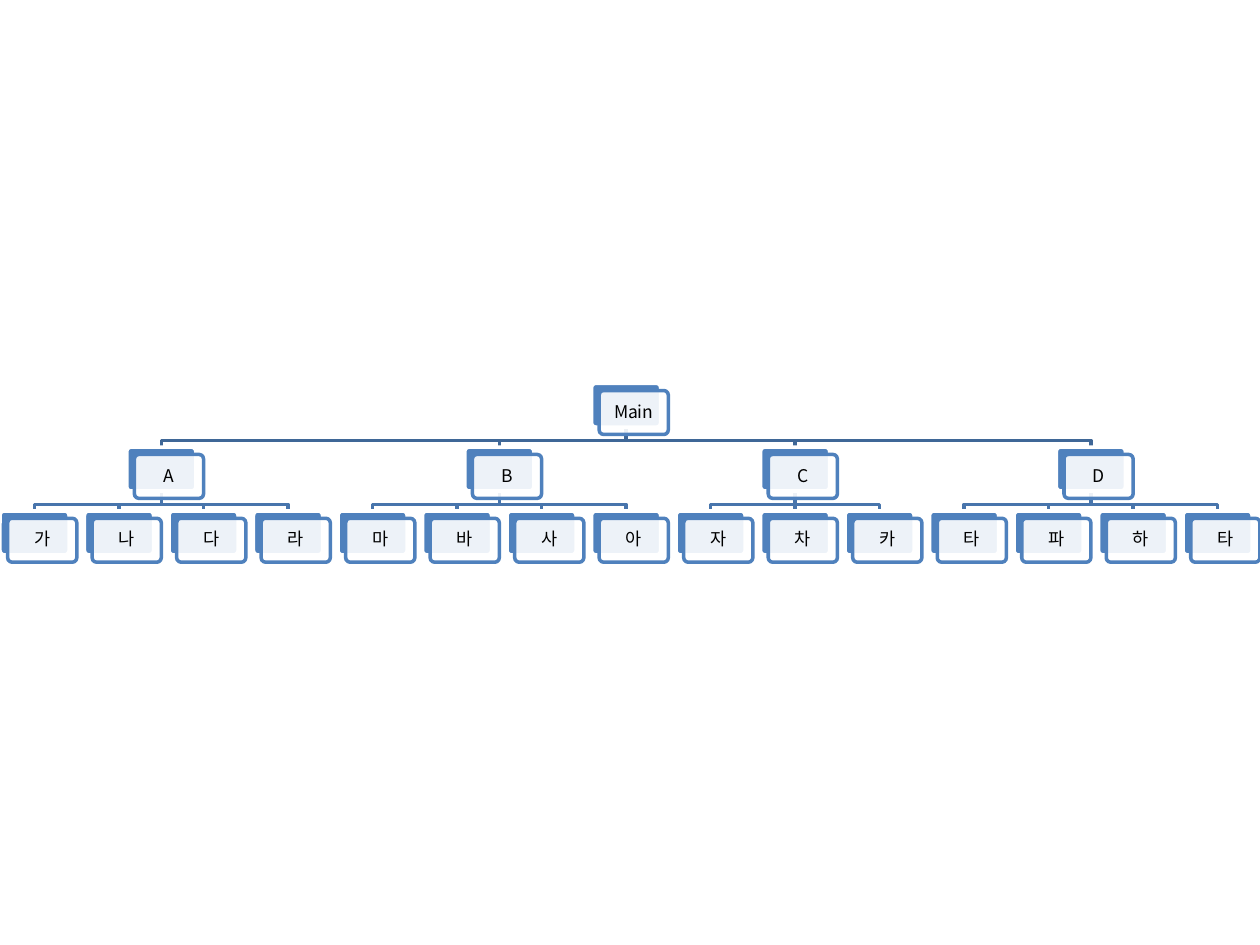
"""Build a three-level organisation chart with offset double cards."""
from dataclasses import dataclass

from lxml.etree import SubElement
from pptx import Presentation
from pptx.dml.color import RGBColor
from pptx.enum.shapes import MSO_CONNECTOR, MSO_SHAPE
from pptx.enum.text import MSO_ANCHOR, PP_ALIGN
from pptx.oxml.ns import qn
from pptx.util import Pt

TREE = ("Main", [
    ("A", ["가", "나", "다", "라"]),
    ("B", ["마", "바", "사", "아"]),
    ("C", ["자", "차", "카"]),
    ("D", ["타", "파", "하", "타"]),
])


@dataclass(frozen=True)
class Theme:
    """Colours and type of the chart."""
    accent: str = "4F81BD"
    paper: str = "FFFFFF"
    text: str = "000000"
    edges: tuple = ("3F6797", "4875AC")
    font: str = "Noto Sans CJK KR"
    size: float = 10
    line: float = 2
    front_alpha: int = 90000


THEME = Theme()
SLIDE_WIDTH, SLIDE_HEIGHT = 720, 540
CARD_WIDTH, CARD_HEIGHT = 39.5, 25.1
FIRST_CENTER, COLUMN_PITCH = 19.74, 48.29
FIRST_TOP, ROW_PITCH = 219, 36.5
FRONT_X, FRONT_Y = 4.39, 4.17
BUS_GAP = 3.8
MARGIN = 3.6


@dataclass
class Node:
    """A card with its place in the tree."""
    label: str
    level: int
    center: float
    children: list
    card: object = None

    @property
    def top(self):
        return FIRST_TOP + self.level * ROW_PITCH

    @property
    def bottom(self):
        return self.top + CARD_HEIGHT


def place(entry, columns, level=0):
    """Give leaves the next column and centre each parent over its children."""
    label, branches = (entry, []) if isinstance(entry, str) else entry
    children = [place(branch, columns, level + 1) for branch in branches]
    if children:
        center = (children[0].center + children[-1].center) / 2
    else:
        center = FIRST_CENTER + next(columns) * COLUMN_PITCH
    return Node(label, level, center, children)


def add_panel(shapes, left, top, fill, line):
    """Add one rounded rectangle of a card."""
    panel = shapes.add_shape(MSO_SHAPE.ROUNDED_RECTANGLE, Pt(left), Pt(top),
                             Pt(CARD_WIDTH), Pt(CARD_HEIGHT))
    panel.adjustments[0] = 0.1
    panel.shadow.inherit = False
    panel.fill.solid()
    panel.fill.fore_color.rgb = RGBColor.from_string(fill)
    panel.line.color.rgb = RGBColor.from_string(line)
    panel.line.width = Pt(THEME.line)
    return panel


def write_label(panel, label):
    """Centre the label in the panel."""
    frame = panel.text_frame
    frame.text = label
    frame.word_wrap = True
    frame.vertical_anchor = MSO_ANCHOR.MIDDLE
    frame.margin_left = frame.margin_right = Pt(MARGIN)
    frame.margin_top = frame.margin_bottom = Pt(MARGIN)
    paragraph = frame.paragraphs[0]
    paragraph.alignment = PP_ALIGN.CENTER
    paragraph.line_spacing = 0.9
    font = paragraph.runs[0].font
    font.size = Pt(THEME.size)
    font.name = THEME.font
    font.color.rgb = RGBColor.from_string(THEME.text)
    properties = paragraph.runs[0].font.fill and paragraph.runs[0]._r.get_or_add_rPr()
    SubElement(properties, qn("a:ea"), typeface=THEME.font)


def add_cards(shapes, node):
    """Draw the card of a node, then those below it."""
    left = node.center - CARD_WIDTH / 2
    node.card = add_panel(shapes, left, node.top, THEME.accent, THEME.paper)
    front = add_panel(shapes, left + FRONT_X, node.top + FRONT_Y,
                      THEME.paper, THEME.accent)
    color = front.element.spPr.find(qn("a:solidFill"))[0]
    SubElement(color, qn("a:alpha"), val=str(THEME.front_alpha))
    write_label(front, node.label)
    for child in node.children:
        add_cards(shapes, child)


def add_edge(shapes, parent, child):
    """Join parent and child behind the cards."""
    if abs(parent.center - child.center) < 0.01:
        edge = shapes.add_connector(MSO_CONNECTOR.STRAIGHT,
                                    Pt(parent.center), Pt(parent.bottom),
                                    Pt(child.center), Pt(child.top))
        edge.begin_connect(parent.card, 2)
        edge.end_connect(child.card, 0)
        SubElement(edge.element.spPr, qn("a:effectLst"))
    else:
        bus = child.top - BUS_GAP
        builder = shapes.build_freeform(Pt(parent.center), Pt(parent.bottom))
        corners = [(parent.center, bus), (child.center, bus), (child.center, child.top)]
        builder.add_line_segments([(Pt(x), Pt(y)) for x, y in corners], close=False)
        edge = builder.convert_to_shape()
        edge.fill.background()
        edge.shadow.inherit = False
    edge.line.color.rgb = RGBColor.from_string(THEME.edges[parent.level])
    edge.line.width = Pt(THEME.line)
    edge.element.getparent().insert(2, edge.element)


def add_edges(shapes, node):
    """Draw every edge below a node."""
    for child in node.children:
        add_edge(shapes, node, child)
        add_edges(shapes, child)


def main():
    """Build and save the slide."""
    presentation = Presentation()
    presentation.slide_width = Pt(SLIDE_WIDTH)
    presentation.slide_height = Pt(SLIDE_HEIGHT)
    slide = presentation.slides.add_slide(presentation.slide_layouts[6])
    root = place(TREE, iter(range(15)))
    chart = slide.shapes.add_group_shape()
    add_cards(chart.shapes, root)
    add_edges(chart.shapes, root)
    presentation.save("out.pptx")


if __name__ == "__main__":
    main()
